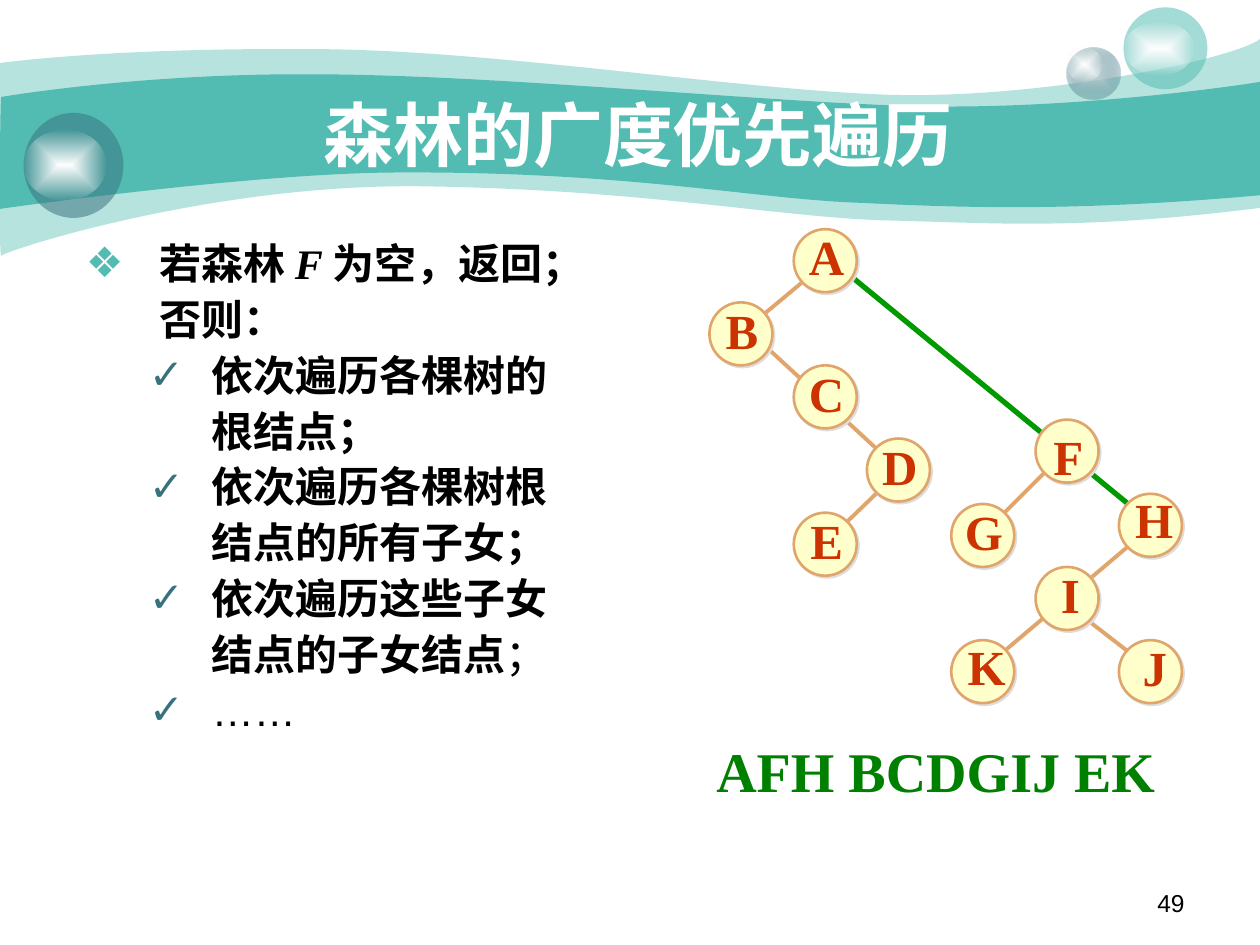
from dataclasses import dataclass
from typing import Any

from lxml.etree import SubElement
from pptx import Presentation
from pptx.dml.color import RGBColor
from pptx.enum.shapes import MSO_CONNECTOR, MSO_SHAPE
from pptx.enum.text import MSO_ANCHOR, PP_ALIGN
from pptx.oxml import parse_xml
from pptx.oxml.ns import nsdecls, qn
from pptx.util import Pt

COLORS = {
    "teal": "52BCB2", "slate": "37737F", "mist": "CCDBDE", "white": "FFFFFF",
    "black": "000000", "green": "008000", "link": "009900", "branch": "E0A56A",
    "node": "FFFFCC", "letter": "CC3300", "shadow": "DDDDDD",
}
SERIF, SANS, CHINESE = "Times New Roman", "Arial", "Noto Sans CJK SC"
NODE_SIZE = 36

LIGHT_WAVE = ((0, 36), [
    (17.3, 33.8, 77, 27.4, 177.8, 28.1), (277.9, 28.1, 414, 50.4, 503.3, 54),
    (591.8, 57.6, 705.6, 33.8, 720, 22.3), (720, 118.8),
    (617.8, 131.8, 566.6, 127.4, 507.6, 126), (447.8, 124.6, 370.8, 108.7, 247, 106.6),
    (123.8, 103.7, 2.9, 143.3, 0.7, 146.2), (-0.7, 149.8, 0, 54, 0, 36)])
DARK_WAVE = ((0.7, 55.4), [
    (1.4, 55.4, 79.2, 41.8, 178.6, 42.5), (277.9, 42.5, 428.4, 57.6, 517, 60.5),
    (605.5, 63.4, 702.7, 49.7, 720, 46.8), (720, 111.6),
    (614.2, 121, 550.8, 118.8, 491, 115.9), (431.3, 113.8, 358.6, 97.9, 228.2, 98.6),
    (146.2, 98.6, -1.4, 119.5, -0.7, 119.5), (0, 119.5, 0, 55.4, 0.7, 55.4)])

BRANCHES = [
    ((508, 275), (477, 305)), ((430, 191), (508, 263)), ((466, 155), (430, 185)),
    ((621, 354), (652, 378)), ((652, 306), (574, 372)), ((603, 264), (567, 300)),
]
NODES = {
    "A": (453.6, 131, 1.4, -5, 34.6), "B": (405.4, 172.8, 2.1, -5, 33.1),
    "C": (453.6, 208.8, 1.4, -5, 34.6), "D": (495.4, 250.6, 1.4, -5, 34.6),
    "E": (453.6, 293, 2.2, -5, 33.1), "F": (591.8, 239.8, 2.9, 0, 31.7),
    "G": (543.6, 288, 0.7, -5, 36), "H": (639.4, 282.2, 2.1, -6, 36),
    "I": (591.8, 324, 7.2, -5, 25.2), "J": (639.4, 365.8, 6.4, -5, 28.1),
    "K": (543.6, 365.8, 2.2, -5.5, 36),
}
STEPS = [
    ("依次遍历各棵树的", "根结点", True), ("依次遍历各棵树根", "结点的所有子女", True),
    ("依次遍历这些子女", "结点的子女结点", False),
]


@dataclass
class Painter:
    """Draws styled elements on the current slide."""

    page: Any

    def color(self, name):
        """Return the named colour."""
        return RGBColor.from_string(COLORS[name])

    def paint(self, shape, fill, alpha=100):
        """Give a shape a plain fill without line or shadow."""
        shape.shadow.inherit = False
        shape.line.fill.background()
        shape.fill.solid()
        shape.fill.fore_color.rgb = self.color(fill)
        if alpha < 100:
            tint = next(shape.element.spPr.iter(qn("a:srgbClr")))
            SubElement(tint, qn("a:alpha"), val=str(alpha * 1000))

    def wave(self, outline, fill, alpha=100):
        """Draw a closed band whose six-number pieces are cubic curves."""
        start, pieces = outline
        builder = self.page.shapes.build_freeform(Pt(start[0]), Pt(start[1]))
        for piece in pieces:
            lengths = [Pt(value) for value in piece]
            builder.add_line_segments(list(zip(lengths[::2], lengths[1::2])), close=False)
        builder.add_line_segments([], close=True)
        shape = builder.convert_to_shape()
        segments = iter(list(shape.element.spPr.iter(qn("a:lnTo"))))
        for piece in pieces:
            first = next(segments)
            if len(piece) == 6:
                curve = parse_xml(f'<a:cubicBezTo {nsdecls("a")}/>')
                first.addprevious(curve)
                for segment in (first, next(segments), next(segments)):
                    curve.append(segment[0])
                    segment.getparent().remove(segment)
        self.paint(shape, fill, alpha)

    def ellipse(self, left, top, width, height, fill, alpha=100):
        """Draw a plain ellipse."""
        shape = self.page.shapes.add_shape(
            MSO_SHAPE.OVAL, Pt(left), Pt(top), Pt(width), Pt(height))
        self.paint(shape, fill, alpha)
        return shape

    def glow(self, left, top, width, height, inner="white", outer="white", alpha=0):
        """Draw an ellipse that fades out from its centre."""
        shape = self.ellipse(left, top, width, height, inner)
        solid = shape.element.spPr.find(qn("a:solidFill"))
        gradient = parse_xml(
            f'<a:gradFill {nsdecls("a")} rotWithShape="1"><a:gsLst>'
            f'<a:gs pos="0"><a:srgbClr val="{COLORS[inner]}"/></a:gs>'
            f'<a:gs pos="100000"><a:srgbClr val="{COLORS[outer]}">'
            f'<a:alpha val="{alpha * 1000}"/></a:srgbClr></a:gs></a:gsLst>'
            '<a:path path="rect"><a:fillToRect l="50000" t="50000" r="50000" b="50000"/>'
            '</a:path></a:gradFill>')
        solid.getparent().replace(solid, gradient)

    def link(self, start, end, color="branch", width=2.25):
        """Draw a straight tree edge."""
        line = self.page.shapes.add_connector(
            MSO_CONNECTOR.STRAIGHT, *(Pt(value) for value in start + end))
        line.line.color.rgb = self.color(color)
        line.line.width = Pt(width)
        SubElement(line.element.spPr, qn("a:effectLst"))

    def node(self, left, top):
        """Draw a tree node with its offset shadow."""
        shape = self.ellipse(left, top, NODE_SIZE, NODE_SIZE, "node")
        shape.line.color.rgb = self.color("branch")
        shape.line.width = Pt(1.5)
        effects = shape.element.spPr.find(qn("a:effectLst"))
        shadow = SubElement(effects, qn("a:outerShdw"), dist=str(Pt(1.4)),
                            dir="2700000", algn="ctr", rotWithShape="0")
        SubElement(shadow, qn("a:srgbClr"), val=COLORS["shadow"])

    def box(self, left, top, width, height, anchor=MSO_ANCHOR.TOP, wrap=True):
        """Add an empty text box and return its text frame."""
        frame = self.page.shapes.add_textbox(
            Pt(left), Pt(top), Pt(width), Pt(height)).text_frame
        frame.word_wrap = wrap
        frame.vertical_anchor = anchor
        return frame

    def span(self, para, text, size, color="black", font=SERIF, asian=CHINESE,
             bold=True, italic=False):
        """Add one styled run."""
        span = para.add_run()
        span.text = text
        span.font.size, span.font.name = Pt(size), font
        span.font.bold, span.font.italic = bold, italic
        span.font.color.rgb = self.color(color)
        SubElement(span.font._element, qn("a:ea"), typeface=asian)

    def label(self, place, text, size, color, font=SERIF, align=PP_ALIGN.LEFT,
              anchor=MSO_ANCHOR.TOP, wrap=True, bold=True):
        """Add a text box holding one run."""
        para = self.box(*place, anchor=anchor, wrap=wrap).paragraphs[0]
        para.alignment = align
        self.span(para, text, size, color, font, bold=bold)

    def item(self, para, margin, hang=0, bullet=None, color="teal"):
        """Set the spacing, indent and bullet of a list paragraph."""
        para.line_spacing, para.space_before = 0.9, Pt(6)
        props = para._p.get_or_add_pPr()
        props.set("marL", str(Pt(margin)))
        props.set("indent", str(Pt(-hang)))
        props.set("hangingPunct", "0")
        if bullet:
            tint = SubElement(props, qn("a:buClr"))
            SubElement(tint, qn("a:srgbClr"), val=COLORS[color])
            SubElement(props, qn("a:buFont"), typeface=SANS)
            SubElement(props, qn("a:buChar"), char=bullet)
        return para


def main():
    """Build the slide and save it."""
    deck = Presentation()
    deck.slide_width, deck.slide_height = Pt(720), Pt(540)
    painter = Painter(deck.slides.add_slide(deck.slide_layouts[6]))

    painter.wave(LIGHT_WAVE, "teal", 41)
    painter.wave(DARK_WAVE, "teal")
    painter.glow(609.5, 27, 31, 29.5, "mist", "slate", 31)
    painter.glow(609.5, 27, 20.5, 19.5)
    painter.ellipse(642, 4.2, 48, 46.8, "teal", 53)
    painter.glow(642, 12.2, 40.3, 31)
    painter.ellipse(13.5, 64.5, 57, 60, "slate", 53)
    painter.glow(13.5, 74.2, 47.5, 40.3)

    painter.label((516, 504, 168, 25), "49", 14, "black", SANS, PP_ALIGN.RIGHT, bold=False)
    painter.label((40.6, 33, 648, 86.4), "森林的广度优先遍历", 40, "white", CHINESE,
                  PP_ALIGN.CENTER, MSO_ANCHOR.MIDDLE)
    painter.label((402.2, 417.3, 273, 46), "AFH BCDGIJ EK", 32, "green")

    painter.link((484, 156), (652, 294), "link", 3)
    for start, end in BRANCHES:
        painter.link(start, end)
    for letter, (left, top, shift, drop, width) in NODES.items():
        painter.node(left, top)
        painter.label((left + shift, top + drop, width, 41), letter, 28, "letter",
                      align=PP_ALIGN.CENTER, anchor=MSO_ANCHOR.MIDDLE, wrap=False)

    frame = painter.box(42, 135.4, 305, 314.6)
    para = painter.item(frame.paragraphs[0], 42, 42, "❖")
    painter.span(para, "若森林 ", 24)
    painter.span(para, "F ", 24, italic=True)
    painter.span(para, "为空，返回；", 24)
    painter.span(painter.item(frame.add_paragraph(), 42), "否则：", 24)
    for first, second, bold in STEPS:
        painter.span(painter.item(frame.add_paragraph(), 72, 36, "✓", "slate"), first, 24)
        para = painter.item(frame.add_paragraph(), 72)
        painter.span(para, second, 24)
        painter.span(para, "；", 24, bold=bold)
    para = painter.item(frame.add_paragraph(), 72, 36, "✓", "slate")
    painter.span(para, "……", 24, font=SANS, asian=SANS, bold=False)

    deck.save("out.pptx")


if __name__ == "__main__":
    main()
